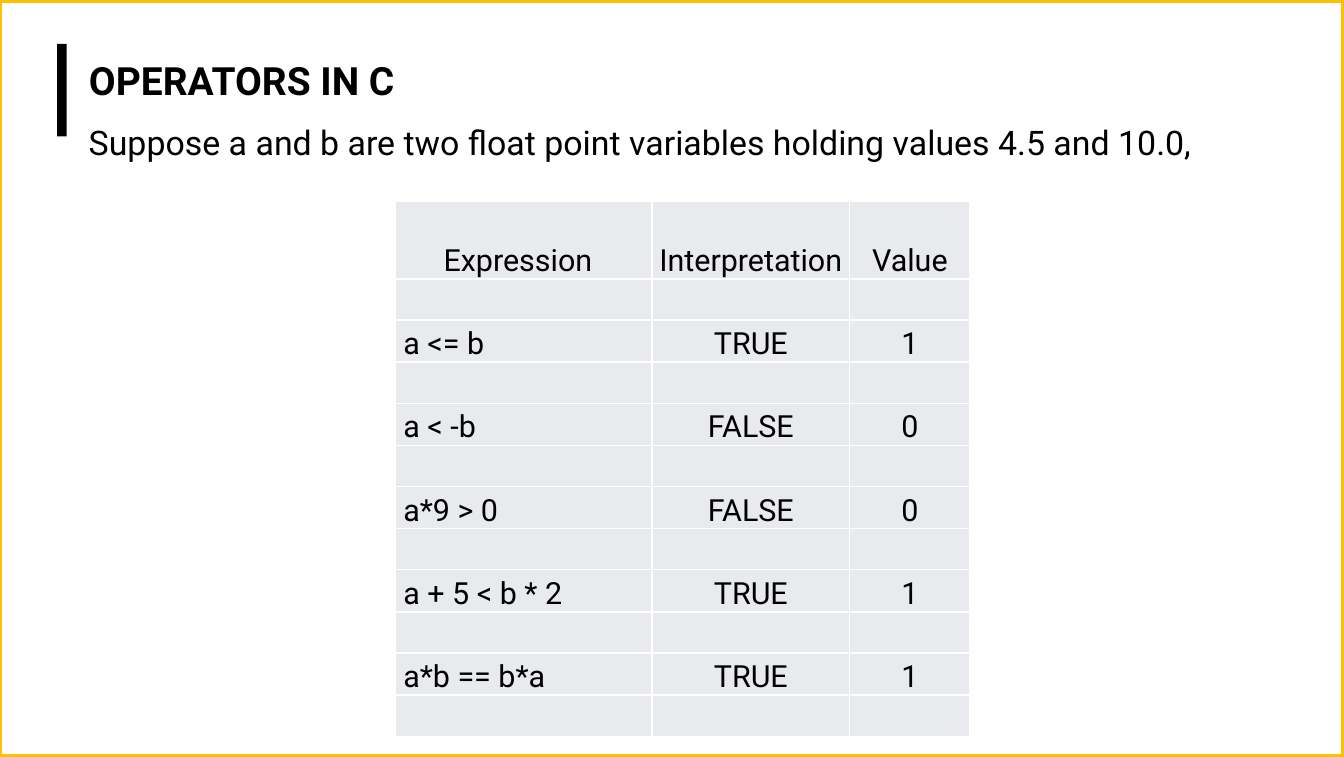
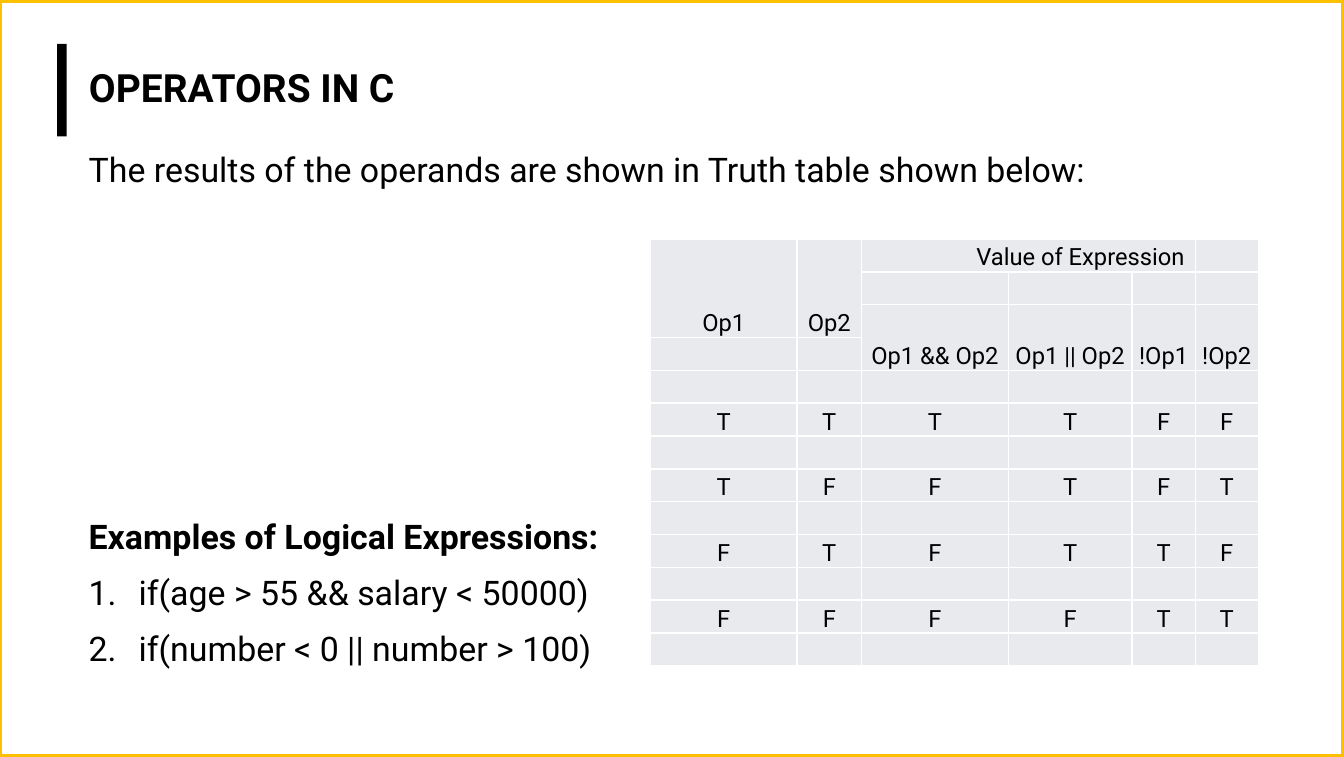
import pptx
import pptx.dml.color
import pptx.enum.shapes
import pptx.enum.text
import pptx.oxml.ns
import pptx.util
from lxml import etree

Pt = pptx.util.Pt
RGBColor = pptx.dml.color.RGBColor
ALIGN = pptx.enum.text.PP_ALIGN
ANCHOR = pptx.enum.text.MSO_ANCHOR
RECTANGLE = pptx.enum.shapes.MSO_SHAPE.RECTANGLE
qn = pptx.oxml.ns.qn

BLACK = RGBColor(0x00, 0x00, 0x00)
WHITE = RGBColor(0xFF, 0xFF, 0xFF)
AMBER = RGBColor(0xFF, 0xC0, 0x00)
CELL_GREY = RGBColor(0xE8, 0xEA, 0xED)

WIDTH, HEIGHT = 794.16, 447.12
TEXT_LEFT, BODY_WIDTH = 45.36, 703.44


class Deck:
    """Holds the shared style and the slide being built."""

    font = "Roboto"
    title_size = 23
    body_size = 20
    line_spacing = 0.9

    def __init__(self):
        self.presentation = pptx.Presentation()
        self.presentation.slide_width = Pt(WIDTH)
        self.presentation.slide_height = Pt(HEIGHT)
        self.slide = None

    def new_slide(self, title, title_top):
        layout = self.presentation.slide_layouts[5]
        self.slide = self.presentation.slides.add_slide(layout)
        self.backdrop()
        self.title(title, title_top)

    def rectangle(self, left, top, width, height, fill):
        box = self.slide.shapes.add_shape(
            RECTANGLE, Pt(left), Pt(top), Pt(width), Pt(height))
        box.shadow.inherit = False
        box.fill.solid()
        box.fill.fore_color.rgb = fill
        box.line.fill.background()
        return box

    def backdrop(self):
        # Translucent framed panel and title bar, both behind the text
        frame = self.rectangle(0, 0, WIDTH, HEIGHT, WHITE)
        frame.line.color.rgb = AMBER
        frame.line.width = Pt(3)
        tint = frame.element.spPr.find(qn("a:solidFill"))[0]
        etree.SubElement(tint, qn("a:alpha"), val="49000")
        bar = self.rectangle(33.84, 25.92, 5.6, 54.72, BLACK)
        for depth, part in enumerate((frame, bar), start=2):
            self.slide.shapes.element.insert(depth, part.element)

    def add_text(self, paragraph, text, size, bold=False):
        run = paragraph.add_run()
        run.text = text
        run.font.name = self.font
        run.font.size = Pt(size)
        run.font.bold = bold
        run.font.color.rgb = BLACK

    def title(self, text, top):
        heading = self.slide.shapes.title
        heading.left, heading.top = Pt(TEXT_LEFT), Pt(top)
        heading.width, heading.height = Pt(404.64), Pt(54.72)
        frame = heading.text_frame
        frame.auto_size = pptx.enum.text.MSO_AUTO_SIZE.NONE
        frame.vertical_anchor = ANCHOR.MIDDLE
        paragraph = frame.paragraphs[0]
        paragraph.alignment = ALIGN.LEFT
        paragraph.line_spacing = self.line_spacing
        self.add_text(paragraph, text, self.title_size, bold=True)

    def text_area(self, top, width, height):
        area = self.slide.shapes.add_textbox(
            Pt(TEXT_LEFT), Pt(top), Pt(width), Pt(height))
        area.text_frame.word_wrap = True
        return area.text_frame

    def statement(self, text, top):
        paragraph = self.text_area(top, BODY_WIDTH, 32).paragraphs[0]
        paragraph.alignment = ALIGN.JUSTIFY
        paragraph.line_spacing = self.line_spacing
        self.add_text(paragraph, text, self.body_size)

    def numbered_list(self, heading, items, top):
        frame = self.text_area(top, 335, 110)
        for index, text in enumerate([heading] + items):
            paragraph = frame.add_paragraph() if index else frame.paragraphs[0]
            paragraph.line_spacing = self.line_spacing
            paragraph.space_after = Pt(11.6)
            if index:
                properties = paragraph._p.get_or_add_pPr()
                properties.set("marL", str(Pt(29.5)))
                properties.set("indent", str(Pt(-29.5)))
                etree.SubElement(properties, qn("a:buFont"), typeface="+mj-lt")
                etree.SubElement(properties, qn("a:buAutoNum"), type="arabicPeriod")
            self.add_text(paragraph, text, self.body_size, bold=not index)

    def table(self, left, top, columns, heights, rows, size, indents, merges=()):
        """indents maps (row, column) to a left indent; other cells are centred."""
        grid = self.slide.shapes.add_table(
            len(rows), len(columns), Pt(left), Pt(top),
            Pt(sum(columns)), Pt(sum(heights))).table
        grid.first_row = grid.horz_banding = False
        for column, width in zip(grid.columns, columns):
            column.width = Pt(width)
        for row, height in zip(grid.rows, heights):
            row.height = Pt(height)
        for r, row in enumerate(rows):
            for c, text in enumerate(row):
                self.cell(grid.cell(r, c), text, size, indents.get((r, c)))
        for first, last in merges:
            grid.cell(*first).merge(grid.cell(*last))

    def cell(self, cell, text, size, indent):
        cell.margin_left = cell.margin_right = 0
        cell.margin_top = cell.margin_bottom = 0
        cell.vertical_anchor = ANCHOR.BOTTOM
        # Borders come before the fill in the cell properties
        for side in ("lnL", "lnR", "lnT", "lnB"):
            border = etree.SubElement(
                cell._tc.get_or_add_tcPr(), qn("a:" + side), w=str(Pt(1)))
            paint = etree.SubElement(border, qn("a:solidFill"))
            etree.SubElement(paint, qn("a:srgbClr"), val=str(WHITE))
        cell.fill.solid()
        cell.fill.fore_color.rgb = CELL_GREY
        paragraph = cell.text_frame.paragraphs[0]
        if not text:
            paragraph._p.get_or_add_endParaRPr().set("sz", "1000")
            return
        paragraph.line_spacing = 1.15
        paragraph.space_after = Pt(10)
        if indent is None:
            paragraph.alignment = ALIGN.CENTER
        else:
            paragraph._p.get_or_add_pPr().set("marL", str(Pt(indent)))
        self.add_text(paragraph, text, size)


def spaced(rows):
    """Put an empty row before each row and after the last."""
    blank = [""] * len(rows[0])
    result = [blank]
    for row in rows:
        result += [row, blank]
    return result


def relational_slide(deck):
    deck.new_slide("OPERATORS IN C", 21.6)
    deck.statement("Suppose a and b are two float point variables holding "
                   "values 4.5 and 10.0,", 71.28)
    rows = [["Expression", "Interpretation", "Value"]] + spaced([
        ["a <= b", "TRUE", "1"],
        ["a < -b", "FALSE", "0"],
        ["a*9 > 0", "FALSE", "0"],
        ["a + 5 < b * 2", "TRUE", "1"],
        ["a*b == b*a", "TRUE", "1"],
    ])
    indents = {(r, 0): 5 for r in range(1, len(rows))}
    indents[0, 0] = 28.8
    heights = [46.2] + [24.3] * (len(rows) - 1)
    deck.table(233.3, 118.6, [152, 116.8, 71.2], heights, rows, 18, indents)


def logical_slide(deck):
    deck.new_slide("OPERATORS IN C", 25.92)
    deck.statement("The results of the operands are shown in Truth table "
                   "shown below:", 87.12)
    deck.numbered_list("Examples of Logical Expressions:", [
        "if(age > 55 && salary < 50000)",
        "if(number < 0 || number > 100)",
    ], 303.6)
    header = [
        ["Op1", "Op2", "Value of Expression", "", "", ""],
        [""] * 6,
        ["", "", "Op1 && Op2", "Op1 || Op2", "!Op1", "!Op2"],
        [""] * 6,
    ]
    rows = header + spaced([list(values) for values in
                            ("TTTTFF", "TFFTFT", "FTFTTF", "FFFFTT")])
    merges = [((0, c), (2, c)) for c in (0, 1)]
    merges += [((2, c), (3, c)) for c in range(2, 6)]
    merges.append(((0, 2), (0, 4)))
    deck.table(384.5, 141.2, [86.4, 38.3, 86.6, 73.2, 37.3, 37.3],
               [19.4] * len(rows), rows, 14, {(0, 2): 67.7}, merges)


def main():
    deck = Deck()
    relational_slide(deck)
    logical_slide(deck)
    deck.presentation.save("out.pptx")


if __name__ == "__main__":
    main()
